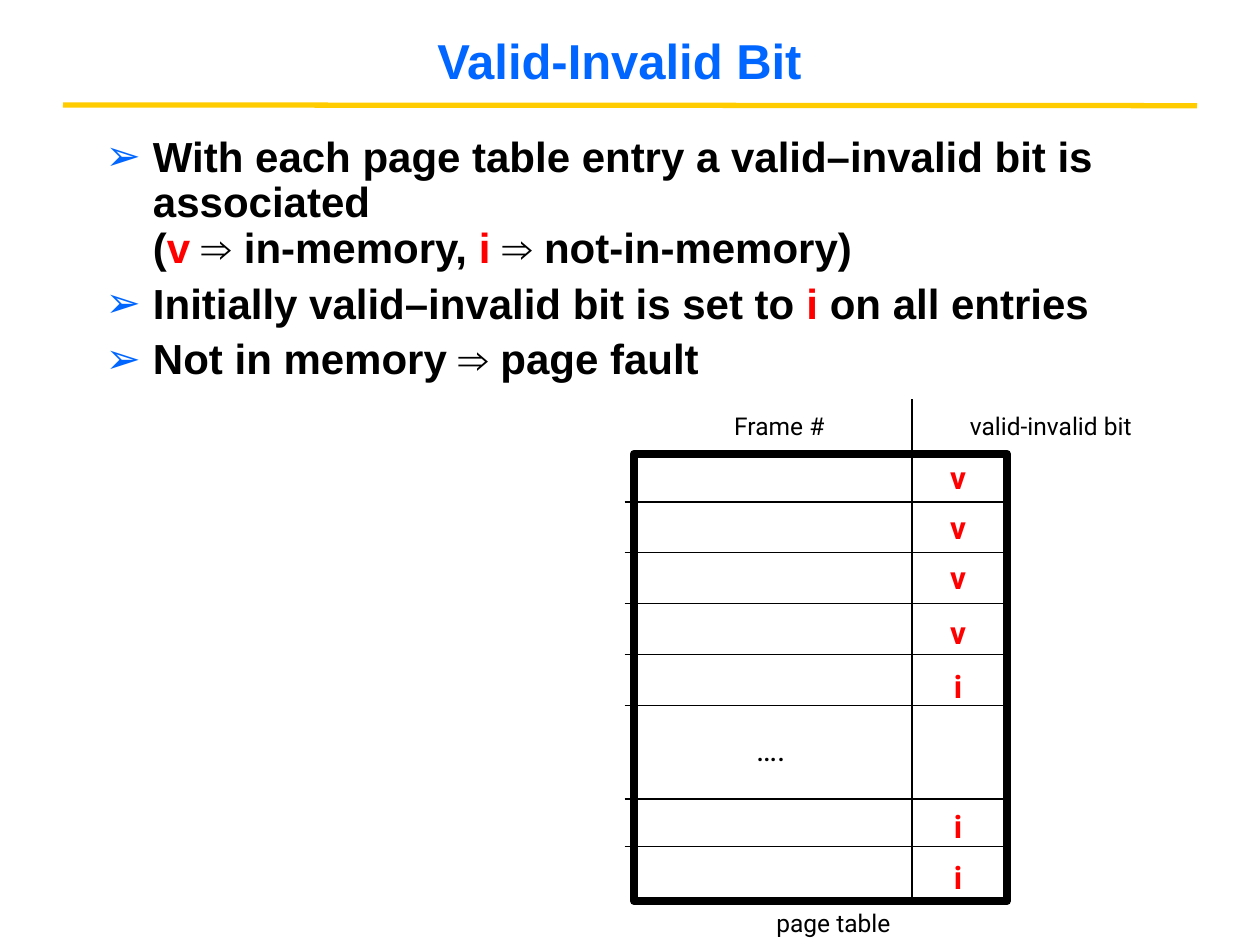
from dataclasses import dataclass

from lxml import etree
from pptx import Presentation
from pptx.dml.color import RGBColor
from pptx.enum import shapes, text
from pptx.oxml.ns import qn
from pptx.util import Pt


@dataclass(frozen=True)
class Theme:
    heading_font: str = "Arial"
    label_font: str = "Roboto"
    blue: str = "0066FF"
    gold: str = "FFCC00"
    red: str = "FF0000"
    black: str = "000000"
    white: str = "FFFFFF"
    title_size: float = 28
    body_size: float = 24
    mark_size: float = 18
    label_size: float = 14


def write(paragraph, content, *, font, size, color, bold=False):
    """Append a run; a newline in the content becomes a line break."""
    for index, line in enumerate(content.split("\n")):
        if index:
            paragraph.add_line_break()
        run = paragraph.add_run()
        run.text = line
        run.font.name = font
        run.font.size = Pt(size)
        run.font.bold = bold
        run.font.color.rgb = RGBColor.from_string(color)


class SlideBuilder:
    def __init__(self, slide, theme):
        self.slide = slide
        self.theme = theme
        self.canvas = slide.shapes

    def start_group(self):
        """Send all following elements to a new group."""
        self.canvas = self.slide.shapes.add_group_shape().shapes

    def place(self, shape, left, top, width, height):
        shape.left, shape.top = Pt(left), Pt(top)
        shape.width, shape.height = Pt(width), Pt(height)

    def title(self, content, *box):
        heading = self.slide.shapes.title
        self.place(heading, *box)
        frame = heading.text_frame
        frame.vertical_anchor = text.MSO_ANCHOR.MIDDLE
        frame.paragraphs[0].alignment = text.PP_ALIGN.CENTER
        write(frame.paragraphs[0], content, font=self.theme.heading_font,
              size=self.theme.title_size, color=self.theme.blue, bold=True)

    def bullets(self, items, *box):
        """Each item is a list of (words, color) pairs."""
        body = self.slide.placeholders[1]
        self.place(body, *box)
        frame = body.text_frame
        frame.auto_size = text.MSO_AUTO_SIZE.NONE
        for index, item in enumerate(items):
            paragraph = frame.add_paragraph() if index else frame.paragraphs[0]
            paragraph.line_spacing = 0.9
            paragraph.space_before = Pt(6)
            self.arrow_bullet(paragraph)
            for words, color in item:
                write(paragraph, words, font=self.theme.heading_font,
                      size=self.theme.body_size, color=color, bold=True)

    def arrow_bullet(self, paragraph):
        properties = paragraph._p.get_or_add_pPr()
        properties.set("marL", str(Pt(27)))
        properties.set("indent", str(Pt(-36)))
        bullet_color = etree.SubElement(properties, qn("a:buClr"))
        etree.SubElement(bullet_color, qn("a:srgbClr"), val=self.theme.blue)
        etree.SubElement(properties, qn("a:buFont"), typeface="Arial")
        etree.SubElement(properties, qn("a:buChar"), char="➢")

    def line(self, x1, y1, x2, y2, color, width=0.75):
        rule = self.canvas.add_connector(
            shapes.MSO_CONNECTOR.STRAIGHT, Pt(x1), Pt(y1), Pt(x2), Pt(y2))
        rule.line.color.rgb = RGBColor.from_string(color)
        rule.line.width = Pt(width)
        etree.SubElement(rule._element.spPr, qn("a:effectLst"))

    def frame(self, left, top, width, height):
        border = self.canvas.add_shape(
            shapes.MSO_SHAPE.RECTANGLE, Pt(left), Pt(top), Pt(width), Pt(height))
        border.shadow.inherit = False
        border.fill.solid()
        border.fill.fore_color.rgb = RGBColor.from_string(self.theme.white)
        border.line.color.rgb = RGBColor.from_string(self.theme.black)
        border.line.width = Pt(4.5)

    def label(self, content, center_x, center_y, width, height, **style):
        box = self.canvas.add_textbox(
            Pt(center_x - width / 2), Pt(center_y - height / 2), Pt(width), Pt(height))
        box.text_frame.word_wrap = False
        box.text_frame.vertical_anchor = text.MSO_ANCHOR.MIDDLE
        paragraph = box.text_frame.paragraphs[0]
        paragraph.alignment = text.PP_ALIGN.CENTER
        write(paragraph, content, font=self.theme.label_font, **style)


def draw_page_table(builder):
    theme = builder.theme
    row_lines = [286.8, 315.9, 345, 374.2, 403.3, 456.6, 483.6]
    bits = [("v", 272.5), ("v", 301.2), ("v", 329.5), ("v", 361), ("i", 392),
            ("i", 472), ("i", 501.3)]
    captions = [("Frame #", 445.3, 243, 96), ("valid-invalid bit", 600.5, 243, 153),
                ("page table", 476.3, 527.5, 114)]

    builder.start_group()
    builder.frame(362.2, 259.3, 213.2, 255.6)
    for y in row_lines:
        builder.line(357, y, 573, y, theme.black)
    builder.line(521.2, 228.3, 521.2, 512.6, theme.black)
    for bit, y in bits:
        builder.label(bit, 547.4, y, 35, 35, size=theme.mark_size,
                      color=theme.red, bold=True)
    builder.label("….", 440.5, 428, 54, 35, size=theme.mark_size, color=theme.black)
    for caption, x, y, width in captions:
        builder.label(caption, x, y, width, 29.5, size=theme.label_size,
                      color=theme.black)


def main():
    theme = Theme()
    deck = Presentation()
    deck.slide_width, deck.slide_height = Pt(720), Pt(540)
    builder = SlideBuilder(deck.slides.add_slide(deck.slide_layouts[1]), theme)

    builder.line(36, 60, 684, 60.4, theme.gold, 3)
    builder.title("Valid-Invalid Bit", 12, 12, 684, 45)
    builder.bullets([
        [("With each page table entry a valid–invalid bit is associated\n(", theme.black),
         ("v ", theme.red), ("⇒ in-memory, ", theme.black),
         ("i", theme.red), (" ⇒ not-in-memory)", theme.black)],
        [("Initially valid–invalid bit is set to", theme.black),
         (" i ", theme.red), ("on all entries", theme.black)],
        [("Not in memory ⇒ page fault", theme.black)],
    ], 53.2, 74.2, 612.8, 430.6)
    draw_page_table(builder)
    deck.save("out.pptx")


if __name__ == "__main__":
    main()
